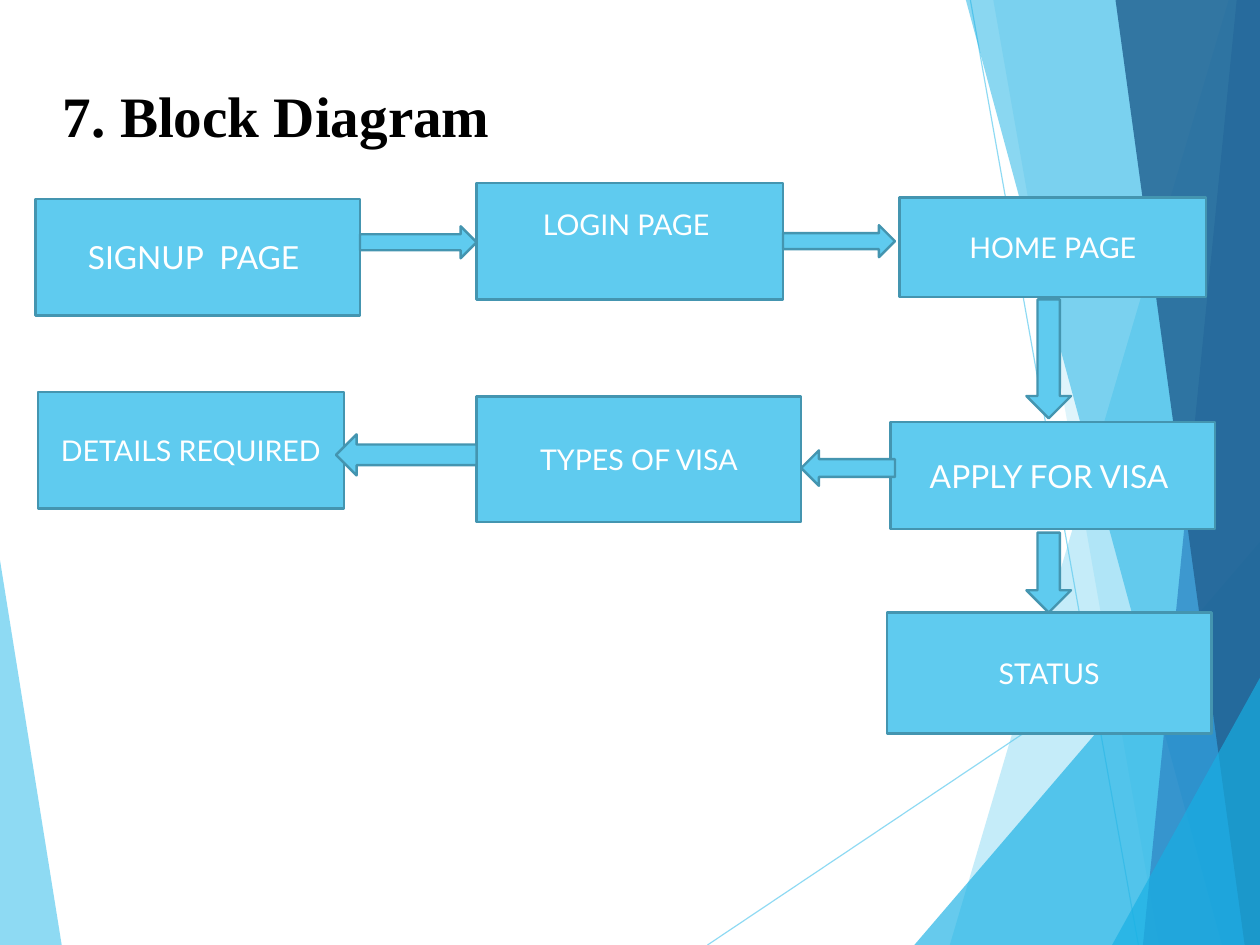
from pptx import Presentation
from pptx import util as u
from pptx.dml.color import RGBColor
from pptx.enum import shapes, text
from pptx.oxml import ns
from lxml import etree

COLORS = {
    "sky": "5FCBEF",
    "cyan": "17B0E4",
    "blue": "2E83C3",
    "navy": "236292",
    "edge": "4495B0",
    "white": "FFFFFF",
    "black": "000000",
}
# The page measures 28 by 21 cm
WIDTH, HEIGHT = u.Cm(28).inches, u.Cm(21).inches

# Facets: corner points, colour, opacity in percent
FACETS = [
    ([(0, 4.9), (0.54, HEIGHT), (0, HEIGHT)], "sky", 70),
    ([(10.75, 0), (8.31, HEIGHT), (WIDTH, HEIGHT), (WIDTH, 0)], "sky", 36),
    ([(8.69, 0), (10.14, HEIGHT), (WIDTH, HEIGHT), (WIDTH, 0)], "sky", 20),
    ([(8, HEIGHT), (WIDTH, 4.74), (WIDTH, HEIGHT)], "cyan", 66),
    ([(8.45, 0), (10.69, HEIGHT), (WIDTH, HEIGHT), (WIDTH, 0)], "cyan", 50),
    ([(10.82, 0), (10, HEIGHT), (WIDTH, HEIGHT), (WIDTH, 0)], "blue", 70),
    ([(9.76, 0), (10.89, HEIGHT), (WIDTH, HEIGHT), (WIDTH, 0)], "navy", 82),
    ([(9.73, HEIGHT), (WIDTH, 5.93), (WIDTH, HEIGHT)], "cyan", 66),
]
RAYS = [(6.19, HEIGHT, WIDTH, 5.03), (8.49, 0, 9.96, HEIGHT)]

# Blocks: label, left, top, width, height, text size, bottom inset
BLOCKS = [
    ("SIGNUP  PAGE ", 0.31, 1.74, 2.84, 1.02, 20, 0.05),
    ("LOGIN PAGE ", 4.17, 1.6, 2.68, 1.02, 18, 0.35),
    ("HOME PAGE", 7.87, 1.73, 2.68, 0.87, 18, 0.05),
    ("APPLY FOR VISA ", 7.79, 3.69, 2.84, 0.94, 20, 0.05),
    ("TYPES OF VISA", 4.17, 3.47, 2.84, 1.1, 18, 0.05),
    ("DETAILS REQUIRED", 0.33, 3.43, 2.68, 1.02, 18, 0.05),
    ("STATUS", 7.76, 5.36, 2.84, 1.06, 18, 0.05),
]

# Arrows: direction, left, top, width, height
ARROWS = [
    ("RIGHT", 3.15, 1.98, 1.02, 0.28),
    ("RIGHT", 6.85, 1.97, 0.98, 0.28),
    ("DOWN", 8.98, 2.62, 0.39, 1.04),
    ("LEFT", 7.01, 3.94, 0.82, 0.31),
    ("LEFT", 2.94, 3.8, 1.23, 0.36),
    ("DOWN", 8.98, 4.66, 0.39, 0.7),
]


def rgb(name):
    return RGBColor.from_string(COLORS[name])


def inches(values):
    return [u.Inches(value) for value in values]


def set_opacity(shape, percent):
    color = next(shape.element.spPr.iter(ns.qn("a:srgbClr")))
    etree.SubElement(color, ns.qn("a:alpha"), val=str(percent * 1000))


def add_facet(slide, corners, color, opacity):
    points = [inches(corner) for corner in corners]
    builder = slide.shapes.build_freeform(*points[0])
    builder.add_line_segments(points[1:], close=True)
    facet = builder.convert_to_shape()
    facet.shadow.inherit = False
    facet.fill.solid()
    facet.fill.fore_color.rgb = rgb(color)
    facet.line.fill.background()
    set_opacity(facet, opacity)


def add_ray(slide, ends):
    ray = slide.shapes.add_connector(shapes.MSO_CONNECTOR.STRAIGHT, *inches(ends))
    ray.line.color.rgb = rgb("sky")
    ray.line.width = u.Pt(0.75)
    set_opacity(ray, 70)
    etree.SubElement(ray.element.spPr, ns.qn("a:effectLst"))


def add_outlined(slide, preset, box):
    shape = slide.shapes.add_shape(preset, *inches(box))
    shape.shadow.inherit = False
    shape.fill.solid()
    shape.fill.fore_color.rgb = rgb("sky")
    shape.line.color.rgb = rgb("edge")
    shape.line.width = u.Pt(1.5)
    return shape


def format_text(paragraph, font, size, color, align):
    paragraph.alignment = align
    paragraph.font.name = font
    paragraph.font.size = u.Pt(size)
    paragraph.font.color.rgb = rgb(color)


def add_block(slide, label, left, top, width, height, size, bottom_inset):
    block = add_outlined(slide, shapes.MSO_SHAPE.RECTANGLE, (left, top, width, height))
    frame = block.text_frame
    frame.word_wrap = True
    frame.vertical_anchor = text.MSO_ANCHOR.MIDDLE
    frame.margin_bottom = u.Inches(bottom_inset)
    frame.text = label
    format_text(frame.paragraphs[0], "Lato", size, "white", text.PP_ALIGN.CENTER)


def set_title(slide, wording):
    title = slide.shapes.title
    title.left, title.top, title.width, title.height = inches((0.55, 0.33, 9.92, 1.38))
    frame = title.text_frame
    frame.text = wording
    frame.auto_size = text.MSO_AUTO_SIZE.NONE
    frame.vertical_anchor = text.MSO_ANCHOR.MIDDLE
    frame.margin_left = frame.margin_right = frame.margin_bottom = 0
    frame.margin_top = u.Inches(0.03)
    heading = frame.paragraphs[0]
    format_text(heading, "Times New Roman", 36, "black", text.PP_ALIGN.LEFT)
    heading.font.bold = True
    heading.line_spacing = 0.93


def main():
    deck = Presentation()
    deck.slide_width, deck.slide_height = inches((WIDTH, HEIGHT))
    slide = deck.slides.add_slide(deck.slide_layouts[5])
    set_title(slide, "7. Block Diagram")

    # Faceted background
    for ends in RAYS:
        add_ray(slide, ends)
    for facet in FACETS:
        add_facet(slide, *facet)

    # Visa application flow
    for block in BLOCKS:
        add_block(slide, *block)
    for direction, *box in ARROWS:
        add_outlined(slide, shapes.MSO_SHAPE[direction + "_ARROW"], box)

    deck.save("out.pptx")


main()
